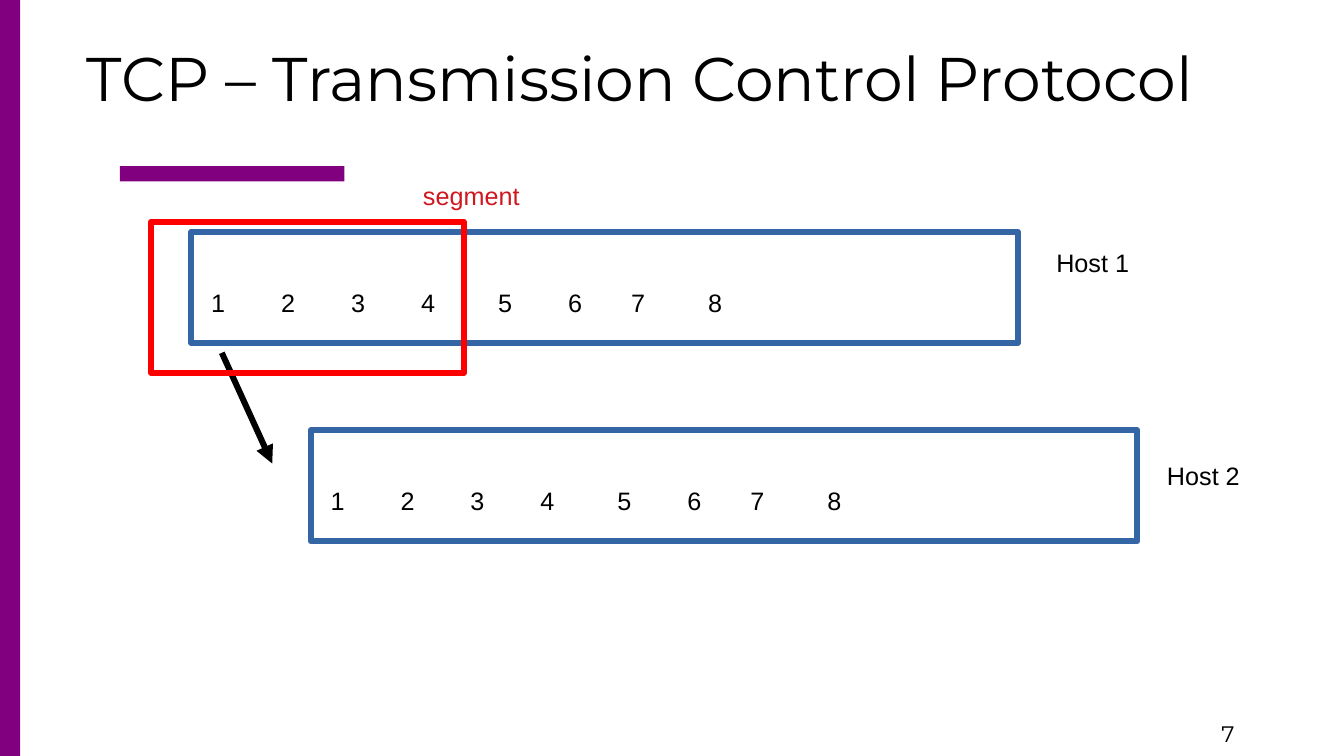
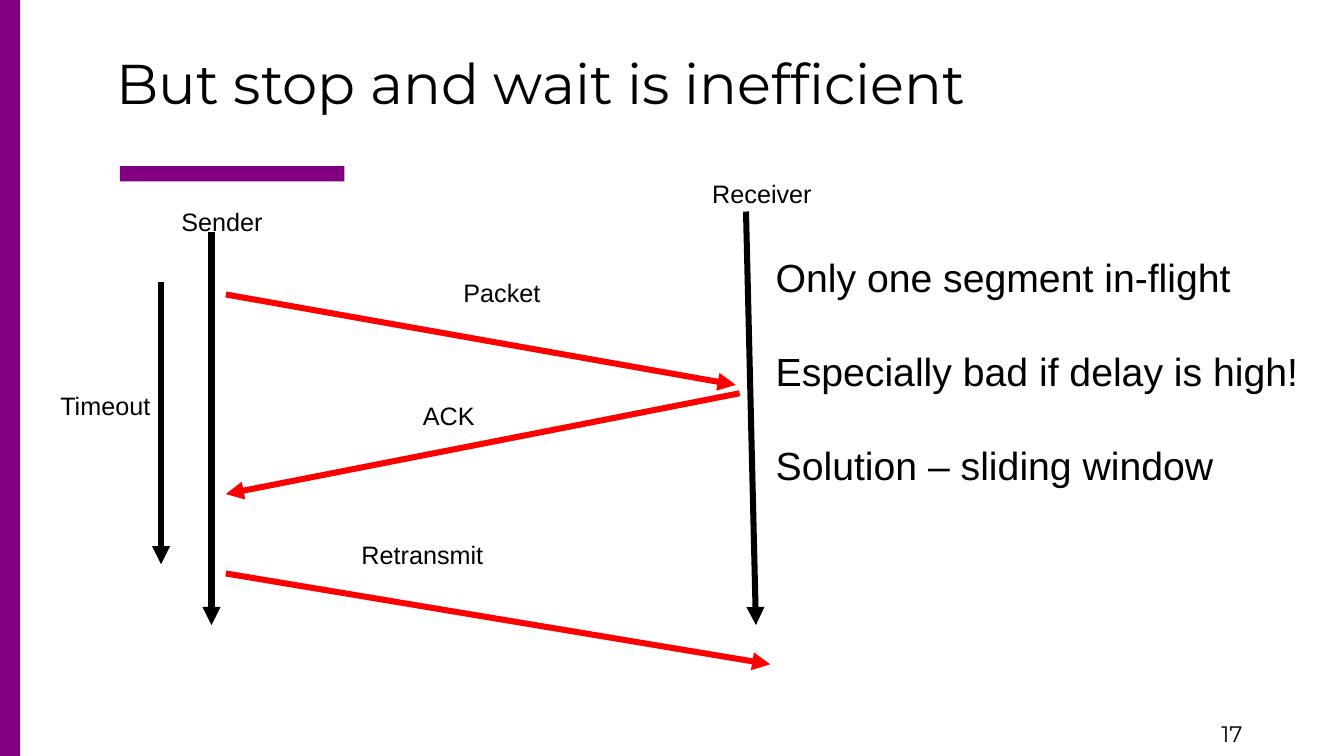
"""Build two slides on TCP segments and stop-and-wait."""
from dataclasses import dataclass
from itertools import accumulate

from lxml import etree
from pptx import Presentation
from pptx.dml.color import RGBColor
from pptx.enum.shapes import MSO_CONNECTOR, MSO_SHAPE
from pptx.enum.text import MSO_ANCHOR, MSO_AUTO_SIZE, PP_ALIGN
from pptx.oxml.ns import qn
from pptx.presentation import Presentation as Deck
from pptx.slide import Slide
from pptx.util import Cm, Pt

RECTANGLE = MSO_SHAPE.RECTANGLE
STRAIGHT = MSO_CONNECTOR.STRAIGHT
LEFT = PP_ALIGN.LEFT
TOP, MIDDLE, BOTTOM = MSO_ANCHOR.TOP, MSO_ANCHOR.MIDDLE, MSO_ANCHOR.BOTTOM
FIXED, GROW = MSO_AUTO_SIZE.NONE, MSO_AUTO_SIZE.SHAPE_TO_FIT_TEXT

PURPLE, BLUE, RED, CRIMSON, BLACK = "800080", "3465A4", "FF0000", "CE181E", "000000"
TITLE_FONT, BODY_FONT = "Montserrat", "Arial"
LINE_WIDTH = Pt(4.31)
LABEL_HEIGHT = 0.97
SEGMENT_GAPS = (50, 50, 50, 55, 50, 45, 55)


@dataclass(frozen=True)
class Box:
    """A rectangle in centimetres."""
    left: float
    top: float
    width: float
    height: float = LABEL_HEIGHT

    def lengths(self) -> tuple[Cm, Cm, Cm, Cm]:
        """Return the four sides as lengths."""
        return Cm(self.left), Cm(self.top), Cm(self.width), Cm(self.height)


@dataclass(frozen=True)
class Label:
    """A text with its place and format."""
    text: str
    box: Box
    size: float = 18
    color: str = BLACK
    font: str = BODY_FONT
    wrap: bool = False
    space_after: float = 0


@dataclass(frozen=True)
class Arrow:
    """A line with a head at its end."""
    start: tuple[float, float]
    end: tuple[float, float]
    color: str


@dataclass(frozen=True)
class Title:
    """A slide title."""
    text: str
    box: Box
    size: float
    anchor: MSO_ANCHOR


@dataclass(frozen=True)
class Host:
    """A host with its row of segments."""
    name: str
    left: float
    top: float
    name_box: Box


BANDS = (Box(3.02, 4.19, 5.66, 0.38), Box(0, 0, 0.51, 19.05))
PAGE_NUMBER_BOX = Box(30.53, 18.03, 3.3, 1.02)

HOSTS = (
    Host("Host 1", 4.82, 5.84, Box(26.37, 6.1, 2.4)),
    Host("Host 2", 7.83, 10.84, Box(29.16, 11.48, 2.4)),
)
DELIVERY = Arrow((5.59, 8.89), (6.86, 11.68), BLACK)
SEGMENT_OUTLINE = Box(3.81, 5.59, 7.88, 3.81)
SEGMENT_LABEL = Label("segment", Box(10.41, 4.42, 6.1, 5.23), color=CRIMSON, wrap=True)

EXCHANGE_ARROWS = (
    Arrow((5.69, 7.42), (18.54, 9.7), RED),
    Arrow((18.64, 9.91), (5.69, 12.45), RED),
    Arrow((5.69, 14.45), (19.41, 16.74), RED),
    Arrow((5.33, 5.84), (5.33, 15.75), BLACK),
    Arrow((18.8, 5.33), (19.05, 15.75), BLACK),
    Arrow((4.06, 7.11), (4.06, 14.22), BLACK),
)
EXCHANGE_LABELS = (
    Label("Only one segment in-flight\nEspecially bad if delay is high!\nSolution – sliding window",
          Box(19.3, 6.27, 13.75, 7.95), size=28, space_after=33.5),
    Label("Sender", Box(4.32, 5.08, 2.65)),
    Label("Receiver", Box(17.7, 4.37, 3.1)),
    Label("Packet", Box(11.43, 6.86, 2.55)),
    Label("ACK", Box(10.41, 9.96, 1.95)),
    Label("Retransmit", Box(8.86, 13.46, 3.65)),
    Label("Timeout", Box(1.27, 9.7, 2.85)),
)


def rgb(color: str) -> RGBColor:
    """Turn a hex string into a colour."""
    return RGBColor.from_string(color)


def apply_format(target: object, values: dict[str, object]) -> None:
    """Set each named attribute on the target."""
    for name, value in values.items():
        setattr(target, name, value)


def format_paragraph(paragraph, font: str, size: float, color: str, space_after: float = 0) -> None:
    """Format a left-aligned paragraph."""
    apply_format(paragraph, {"alignment": LEFT, "space_after": Pt(space_after)})
    for run in paragraph.runs:
        apply_format(run.font, {"name": font, "size": Pt(size)})
        run.font.color.rgb = rgb(color)


def add_label(slide: Slide, label: Label):
    """Add a text box and return it."""
    shape = slide.shapes.add_textbox(*label.box.lengths())
    frame = shape.text_frame
    frame.text = label.text
    apply_format(frame, {"word_wrap": label.wrap, "vertical_anchor": TOP,
                         "auto_size": FIXED if label.wrap else GROW})
    for paragraph in frame.paragraphs:
        format_paragraph(paragraph, label.font, label.size, label.color, label.space_after)
    return shape


def add_band(slide: Slide, box: Box) -> None:
    """Add a filled purple band."""
    shape = slide.shapes.add_shape(RECTANGLE, *box.lengths())
    shape.shadow.inherit = False
    shape.fill.solid()
    shape.fill.fore_color.rgb = rgb(PURPLE)
    shape.line.fill.background()


def add_outline(slide: Slide, box: Box, color: str) -> None:
    """Add an unfilled rectangle."""
    shape = slide.shapes.add_shape(RECTANGLE, *box.lengths())
    shape.shadow.inherit = False
    shape.fill.background()
    shape.line.color.rgb = rgb(color)
    shape.line.width = LINE_WIDTH


def add_arrow(slide: Slide, arrow: Arrow) -> None:
    """Add a straight connector with a triangle head."""
    points = (Cm(value) for value in arrow.start + arrow.end)
    connector = slide.shapes.add_connector(STRAIGHT, *points)
    connector.line.color.rgb = rgb(arrow.color)
    connector.line.width = LINE_WIDTH
    properties = connector._element.spPr
    etree.SubElement(properties.find(qn("a:ln")), qn("a:tailEnd"), type="triangle")
    etree.SubElement(properties, qn("a:effectLst"))


def add_host(slide: Slide, host: Host) -> None:
    """Add a host buffer with its numbered segments on tab stops."""
    add_outline(slide, Box(host.left, host.top, 20.83, 2.8), BLUE)
    numbers = "\t".join(str(number) for number in range(1, len(SEGMENT_GAPS) + 2))
    row = Box(host.left + 0.25, host.top + 1.27, 13.44)
    shape = add_label(slide, Label(numbers, row, wrap=True))
    properties = shape.text_frame.paragraphs[0]._p.get_or_add_pPr()
    tab_list = etree.SubElement(properties, qn("a:tabLst"))
    for position in accumulate(SEGMENT_GAPS):
        etree.SubElement(tab_list, qn("a:tab"), pos=str(Pt(position)), algn="l")
    add_label(slide, Label(host.name, host.name_box))


def add_titled_slide(presentation: Deck, title: Title, page_number: int) -> Slide:
    """Add a slide with title, bands and page number."""
    slide = presentation.slides.add_slide(presentation.slide_layouts[5])
    shape = slide.shapes.title
    sides = dict(zip(("left", "top", "width", "height"), title.box.lengths()))
    apply_format(shape, sides)
    frame = shape.text_frame
    frame.text = title.text
    apply_format(frame, {"vertical_anchor": title.anchor, "margin_left": Cm(0.86),
                         "word_wrap": True, "auto_size": FIXED})
    format_paragraph(frame.paragraphs[0], TITLE_FONT, title.size, BLACK)
    for band in BANDS:
        add_band(slide, band)
    add_label(slide, Label(str(page_number), PAGE_NUMBER_BOX, size=16, font=TITLE_FONT, wrap=True))
    return slide


def build_segment_slide(presentation: Deck) -> None:
    """Show a segment passing between two hosts."""
    title = Title("TCP – Transmission Control Protocol", Box(1.32, 0.71, 30.53, 2.46), 44, MIDDLE)
    slide = add_titled_slide(presentation, title, 7)
    for host in HOSTS:
        add_host(slide, host)
    add_arrow(slide, DELIVERY)
    add_outline(slide, SEGMENT_OUTLINE, RED)
    add_label(slide, SEGMENT_LABEL)


def build_exchange_slide(presentation: Deck) -> None:
    """Show the stop-and-wait exchange."""
    title = Title("But stop and wait is inefficient", Box(2.08, 0.43, 30.68, 2.62), 40, BOTTOM)
    slide = add_titled_slide(presentation, title, 17)
    for arrow in EXCHANGE_ARROWS:
        add_arrow(slide, arrow)
    for label in EXCHANGE_LABELS:
        add_label(slide, label)


def main() -> None:
    """Build and save the presentation."""
    presentation = Presentation()
    apply_format(presentation, {"slide_width": Cm(33.87), "slide_height": Cm(19.05)})
    build_segment_slide(presentation)
    build_exchange_slide(presentation)
    presentation.save("out.pptx")


if __name__ == "__main__":
    main()
